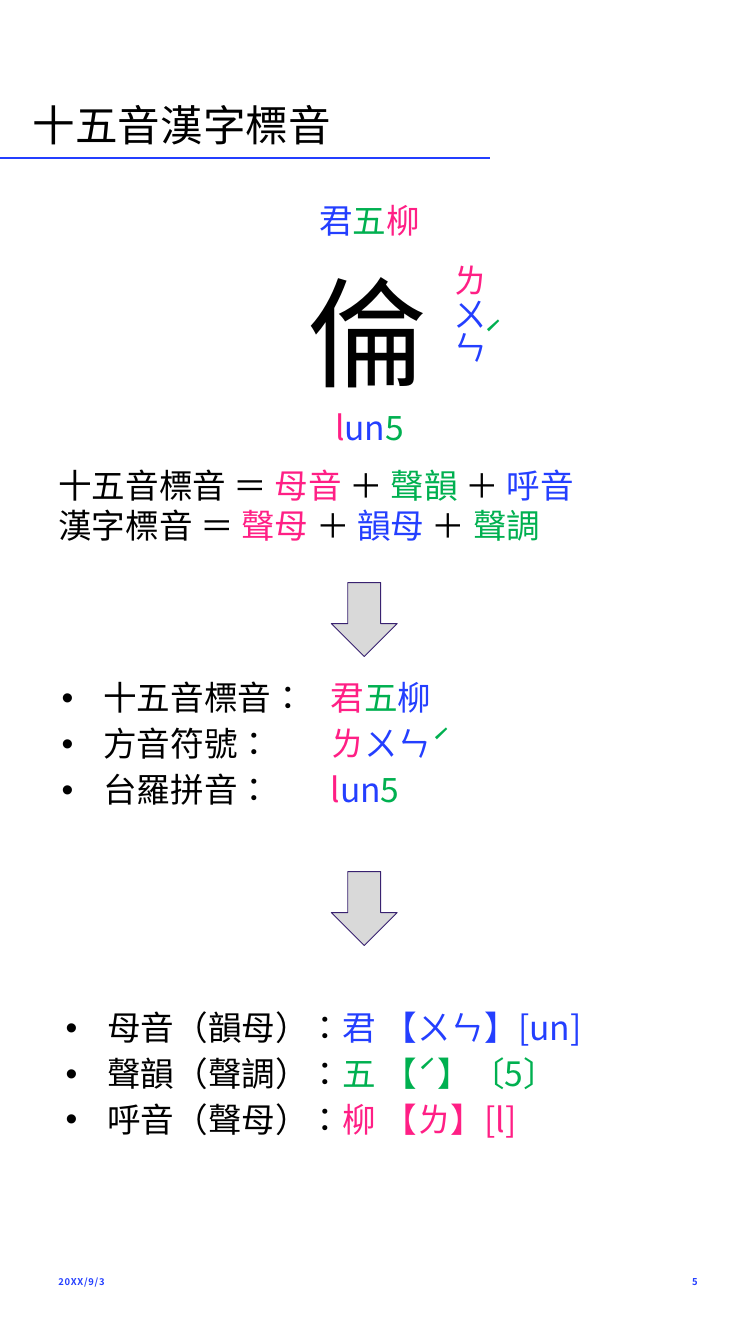
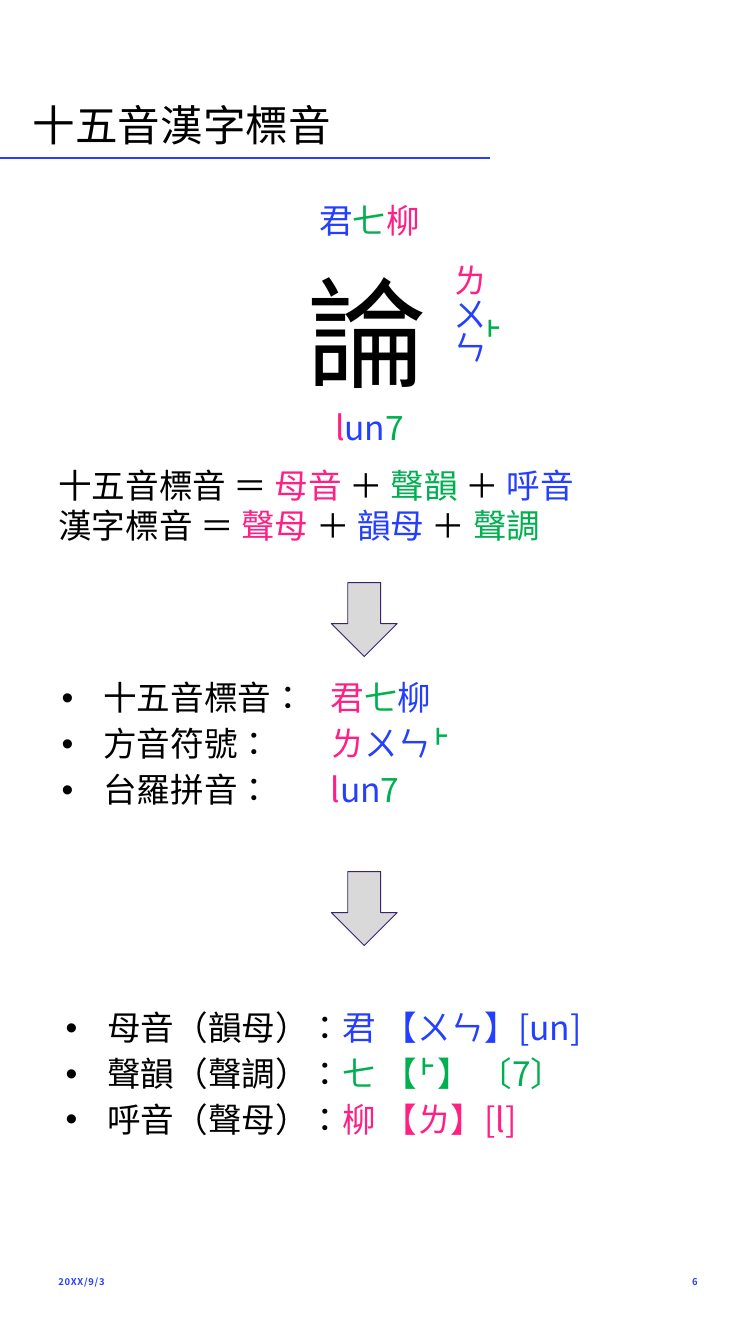
import pptx
import pptx.util
import pptx.dml.color
import pptx.enum.shapes
import pptx.enum.text
import pptx.oxml.ns
import lxml.etree

PX = 9144  # 100 px to the inch
FONT = "Noto Sans CJK TC"
BLACK, BLUE, GREEN, PINK = "000000", "243FFF", "00B050", "FF1F85"
GREY, INDIGO = "D9D9D9", "392270"
ALIGN = pptx.enum.text.PP_ALIGN
ANCHOR = pptx.enum.text.MSO_ANCHOR


def color(value):
    return pptx.dml.color.RGBColor.from_string(value)


def add_text(slide, box, paragraphs, size=36, align=ALIGN.LEFT, anchor=ANCHOR.TOP,
             line_spacing=1.0, insets=(10, 5, 10, 5), bold=False, tracking=0,
             bullet=False, vertical=False):
    """Each paragraph is a list of (text, colour) runs."""
    qn = pptx.oxml.ns.qn
    frame = slide.shapes.add_textbox(*[n * PX for n in box]).text_frame
    frame.word_wrap = True
    frame.vertical_anchor = anchor
    (frame.margin_left, frame.margin_top,
     frame.margin_right, frame.margin_bottom) = [n * PX for n in insets]
    if vertical:
        frame._txBody.bodyPr.set("vert", "eaVert")
    for index, runs in enumerate(paragraphs):
        paragraph = frame.add_paragraph() if index else frame.paragraphs[0]
        paragraph.alignment = align
        paragraph.line_spacing = line_spacing
        if bullet:
            properties = paragraph._p.get_or_add_pPr()
            properties.set("marL", str(62 * PX))
            properties.set("indent", str(-62 * PX))
            if index:
                paragraph.space_before = pptx.util.Pt(6)
            lxml.etree.SubElement(properties, qn("a:buFont"), typeface="Arial")
            lxml.etree.SubElement(properties, qn("a:buChar"), char="•")
            tabs = lxml.etree.SubElement(properties, qn("a:tabLst"))
            lxml.etree.SubElement(tabs, qn("a:tab"), pos=str(400 * PX), algn="l")
        for text, run_color in runs:
            run = paragraph.add_run()
            run.text = text
            run.font.size = pptx.util.Pt(size)
            run.font.bold = bold
            run.font.name = FONT
            run.font.color.rgb = color(run_color)
            run_properties = run._r.get_or_add_rPr()
            run_properties.set("lang", "zh-TW")
            lxml.etree.SubElement(run_properties, qn("a:ea"), typeface=FONT)
            if tracking:
                run_properties.set("spc", str(tracking))


presentation = pptx.Presentation()
presentation.slide_width = 1125 * PX
presentation.slide_height = 2000 * PX

# Character, tone name, tone number, tone mark, gap after the bracketed mark
syllables = [("倫", "五", "5", "ˊ", ""), ("論", "七", "7", "˫", " ")]

for page, (character, tone, number, mark, gap) in enumerate(syllables, start=5):
    slide = presentation.slides.add_slide(presentation.slide_layouts[6])

    # Title and rule
    rule = slide.shapes.add_connector(
        pptx.enum.shapes.MSO_CONNECTOR.STRAIGHT, 0, 235 * PX, 729 * PX, 235 * PX)
    rule.line.color.rgb = color(BLUE)
    rule.line.width = pptx.util.Pt(2)
    lxml.etree.SubElement(rule._element.spPr, pptx.oxml.ns.qn("a:effectLst"))
    add_text(slide, (39, 145, 571, 84), [[("十五音漢字標音", BLACK)]], size=45.6,
             anchor=ANCHOR.BOTTOM, line_spacing=0.9)

    # Date and page number
    for left, text, align in [(77, "20XX/9/3", ALIGN.LEFT), (795, str(page), ALIGN.RIGHT)]:
        add_text(slide, (left, 1854, 253, 106), [[(text, BLUE)]], size=10.1, align=align,
                 anchor=ANCHOR.MIDDLE, bold=True, tracking=80)

    # Character with its readings around it
    romanized = [("l", PINK), ("un", BLUE), (number, GREEN)]
    add_text(slide, (448, 380, 224, 226), [[(character, BLACK)]], size=128,
             align=ALIGN.JUSTIFY)
    add_text(slide, (429, 293, 242, 71),
             [[("君", BLUE), (tone, GREEN), ("柳", PINK)]], align=ALIGN.CENTER)
    add_text(slide, (654, 384, 81, 206), [[("ㄌ", PINK), ("ㄨㄣ", BLUE)]],
             insets=(10, 9, 7, 5), vertical=True)
    add_text(slide, (710, 463, 49, 71), [[(mark, GREEN)]], align=ALIGN.CENTER)
    add_text(slide, (429, 601, 242, 71), [romanized], align=ALIGN.CENTER)

    # Formulas
    plus = (" ＋ ", BLACK)
    add_text(slide, (77, 687, 950, 131), [
        [("十五音標音 ＝ ", BLACK), ("母音", PINK), plus, ("聲韻", GREEN), plus, ("呼音", BLUE)],
        [("漢字標音 ＝ ", BLACK), ("聲母", PINK), plus, ("韻母", BLUE), plus, ("聲調", GREEN)],
    ])

    # Arrows between the steps
    for top in (867, 1297):
        arrow = slide.shapes.add_shape(pptx.enum.shapes.MSO_SHAPE.DOWN_ARROW,
                                       493 * PX, top * PX, 98 * PX, 110 * PX)
        arrow.shadow.inherit = False
        arrow.fill.solid()
        arrow.fill.fore_color.rgb = color(GREY)
        arrow.line.color.rgb = color(INDIGO)
        arrow.line.width = pptx.util.Pt(1)

    # Three notations
    add_text(slide, (82, 1003, 950, 209), [
        [("十五音標音：\t", BLACK), ("君", PINK), (tone, GREEN), ("柳", BLUE)],
        [("方音符號： \t", BLACK), ("ㄌ", PINK), ("ㄨㄣ", BLUE), (mark, GREEN)],
        [("台羅拼音：\t", BLACK)] + romanized,
    ], bullet=True)

    # Parts of the syllable
    add_text(slide, (88, 1494, 950, 209), [
        [("母音（韻母）：", BLACK), ("君 【ㄨㄣ】[un]", BLUE)],
        [("聲韻（聲調）：", BLACK), (f"{tone} 【{mark}】{gap}〔{number}〕", GREEN)],
        [("呼音（聲母）：", BLACK), ("柳 【ㄌ】[l]", PINK)],
    ], bullet=True)

presentation.save("out.pptx")
